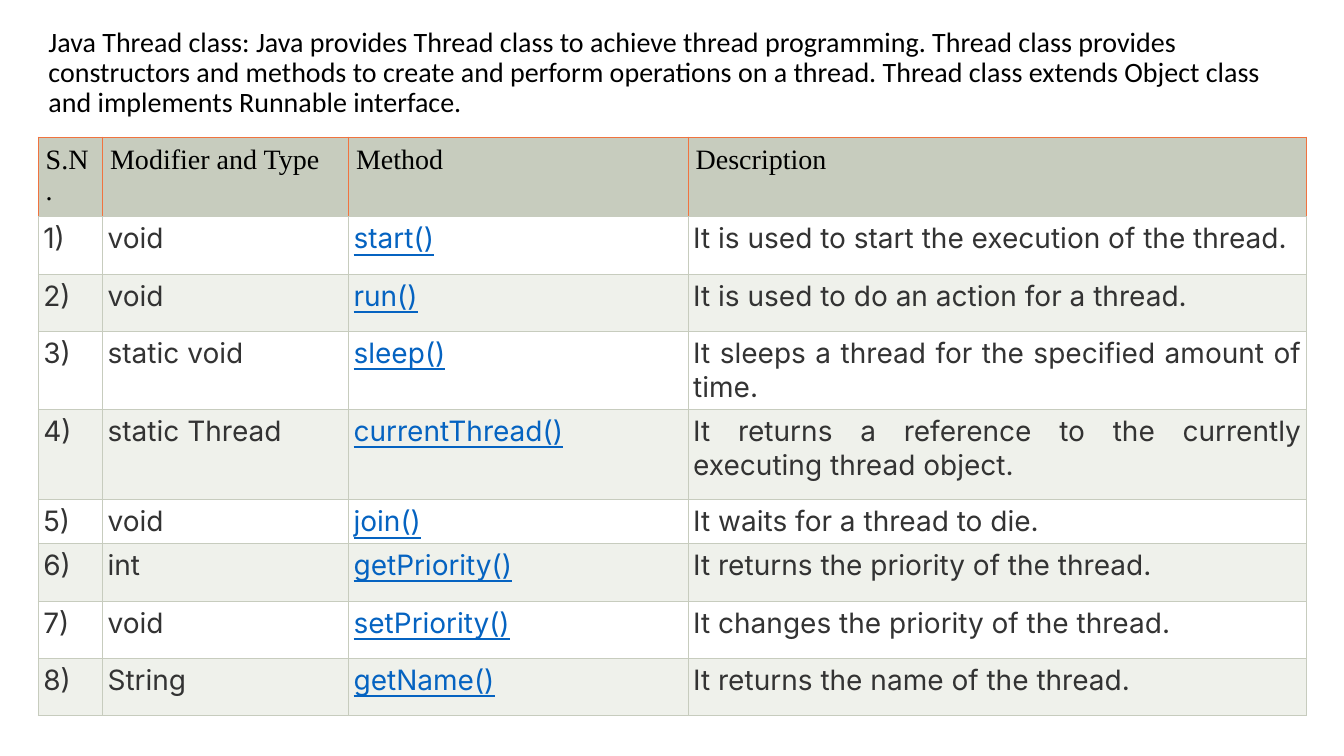
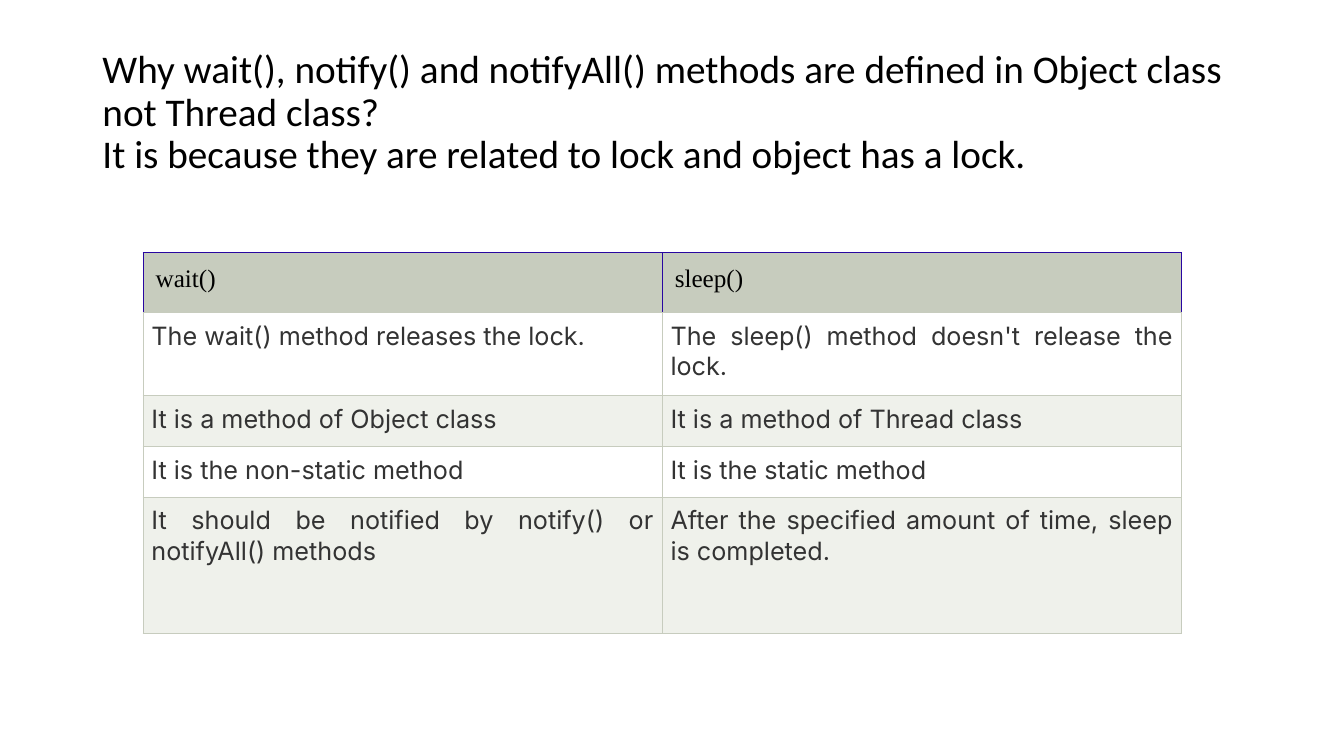
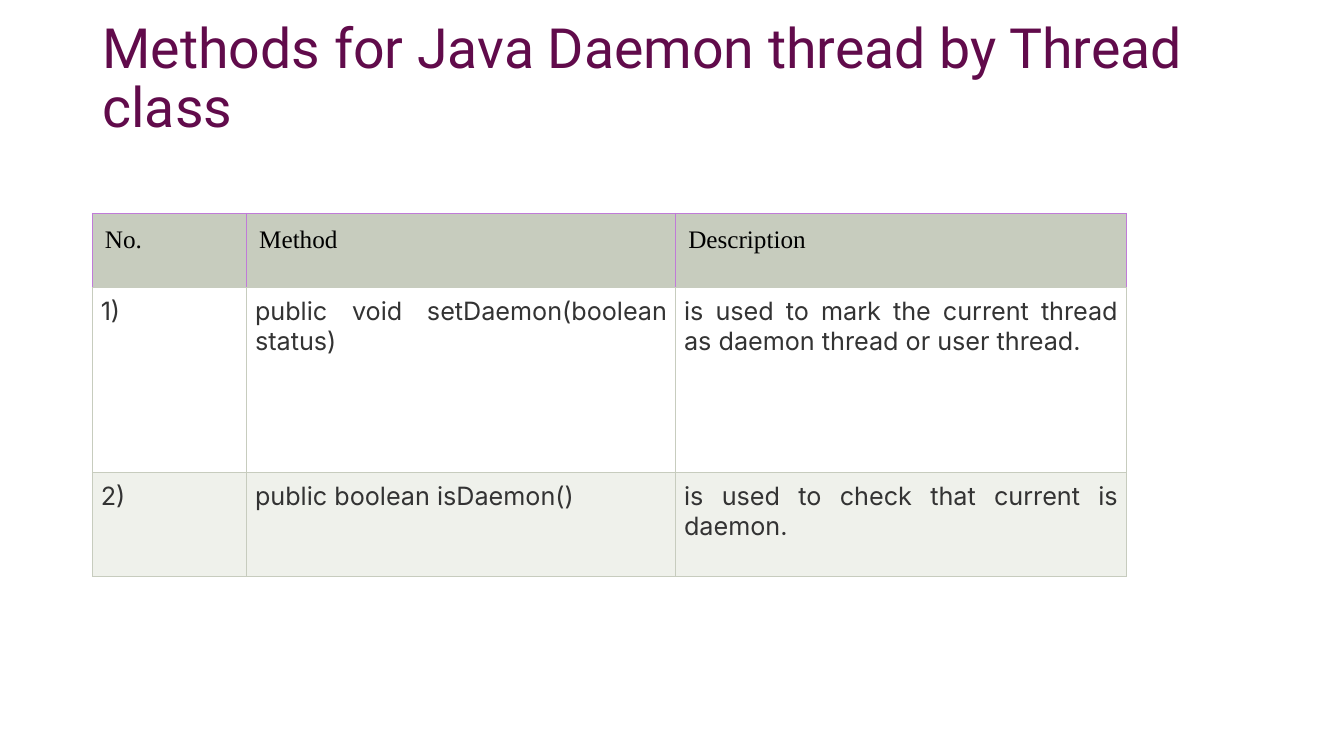
from dataclasses import dataclass

from lxml.etree import SubElement
from pptx import Presentation
from pptx.dml.color import RGBColor
from pptx.enum.text import MSO_ANCHOR as Anchor, MSO_AUTO_SIZE as AutoSize, PP_ALIGN as Align
from pptx.oxml.ns import qn
from pptx.util import Pt


@dataclass(frozen=True)
class Theme:
    """Colours, fonts and type sizes of the whole deck."""
    black: str = "000000"
    body: str = "333333"
    link: str = "0563C1"
    plum: str = "610B4B"
    grid: str = "C7CCBE"
    bands: tuple = ("FFFFFF", "EFF1EB")
    orange: str = "F0733F"
    indigo: str = "2806A1"
    violet: str = "C07BD8"
    title_font: str = "Calibri"
    display_font: str = "Roboto"
    header_font: str = "Times New Roman"
    body_font: str = "Inter"
    intro_size: float = 20
    question_size: float = 28
    heading_size: float = 39.6
    large_cell: float = 20
    small_cell: float = 18
    line_width: float = 0.75


THEME = Theme()
TITLE_BOX = (66, 28.75, 828, 104.4)

THREAD_METHODS = [
    ("S.N.", "Modifier and Type", "Method", "Description"),
    ("1)", "void", "start()", "It is used to start the execution of the thread."),
    ("2)", "void", "run()", "It is used to do an action for a thread."),
    ("3)", "static void", "sleep()", "It sleeps a thread for the specified amount of time."),
    ("4)", "static Thread", "currentThread()",
     "It returns a reference to the currently executing thread object."),
    ("5)", "void", "join()", "It waits for a thread to die."),
    ("6)", "int", "getPriority()", "It returns the priority of the thread."),
    ("7)", "void", "setPriority()", "It changes the priority of the thread."),
    ("8)", "String", "getName()", "It returns the name of the thread."),
]
WAIT_AND_SLEEP = [
    ("wait()", "sleep()"),
    ("The wait() method releases the lock.", "The sleep() method doesn't release the lock."),
    ("It is a method of Object class", "It is a method of Thread class"),
    ("It is the non-static method", "It is the static method"),
    ("It should be notified by notify() or notifyAll() methods",
     "After the specified amount of time, sleep is completed."),
]
DAEMON_METHODS = [
    ("No.", "Method", "Description"),
    ("1)", "public void setDaemon(boolean status)",
     "is used to mark the current thread as daemon thread or user thread."),
    ("2)", "public boolean isDaemon()", "is used to check that current is daemon."),
]


def add_run(paragraph, text, font, size, color, underline=False):
    run = paragraph.add_run()
    run.text = text
    run.font.name = font
    run.font.size = Pt(size)
    run.font.bold = False
    run.font.underline = underline
    run.font.color.rgb = RGBColor.from_string(color)


def add_titled_slide(deck, lines, size, box=TITLE_BOX,
                     font=THEME.title_font, color=THEME.black):
    """Add a title-only slide; the lines of its title are split by line breaks."""
    slide = deck.slides.add_slide(deck.slide_layouts[5])
    title = slide.shapes.title
    title.left, title.top, title.width, title.height = map(Pt, box)
    frame = title.text_frame
    frame.word_wrap = True
    frame.auto_size = AutoSize.NONE
    frame.vertical_anchor = Anchor.MIDDLE
    heading = frame.paragraphs[0]
    heading.alignment = Align.LEFT
    heading.line_spacing = 0.9
    for number, line in enumerate(lines):
        if number:
            heading.add_line_break()
        if line:
            add_run(heading, line, font, size, color)
    # Breaks take the height of the title text
    for line_break in heading._p.findall(qn("a:br")):
        SubElement(line_break, qn("a:rPr"), sz=str(round(size * 100)))
    return slide


def set_borders(cell, side_color, bottom_color):
    properties = cell._tc.get_or_add_tcPr()
    for side in ("L", "R", "T", "B"):
        line = SubElement(properties, qn(f"a:ln{side}"), w=str(Pt(THEME.line_width)))
        fill = SubElement(line, qn("a:solidFill"))
        SubElement(fill, qn("a:srgbClr"), val=bottom_color if side == "B" else side_color)


def format_cell(cell, fill, border, inset):
    set_borders(cell, border, THEME.grid)
    cell.fill.solid()
    cell.fill.fore_color.rgb = RGBColor.from_string(fill)
    cell.margin_left = cell.margin_right = cell.margin_top = cell.margin_bottom = Pt(inset)
    cell.vertical_anchor = Anchor.TOP


def add_method_table(slide, content, corner, widths, heights, accent, size, inset,
                     link_column=None):
    """Add a banded table whose header has borders in the accent colour."""
    frame = slide.shapes.add_table(len(heights), len(widths), *map(Pt, corner),
                                   Pt(sum(widths)), Pt(sum(heights)))
    table = frame.table
    table.first_row = table.horz_banding = False
    for column, width in zip(table.columns, widths):
        column.width = Pt(width)
    for row, height in zip(table.rows, heights):
        row.height = Pt(height)

    for row_number, texts in enumerate(content):
        for column_number, text in enumerate(texts):
            cell = table.cell(row_number, column_number)
            paragraph = cell.text_frame.paragraphs[0]
            if row_number == 0:
                format_cell(cell, THEME.grid, accent, inset * 1.5)
                paragraph.alignment = Align.LEFT
                add_run(paragraph, text, THEME.header_font, size, THEME.black)
            else:
                format_cell(cell, THEME.bands[(row_number - 1) % 2], THEME.grid, inset)
                paragraph.alignment = Align.JUSTIFY
                linked = column_number == link_column
                add_run(paragraph, text, THEME.body_font, size,
                        THEME.link if linked else THEME.body, linked)


def main():
    deck = Presentation()
    deck.slide_width, deck.slide_height = Pt(960), Pt(540)

    # Thread class methods
    thread_class = add_titled_slide(
        deck,
        ["Java Thread class: Java provides Thread class to achieve thread programming. "
         "Thread class provides constructors and methods to create and perform operations "
         "on a thread. Thread class extends Object class and implements Runnable interface."],
        THEME.intro_size, box=(27.4, 7.2, 891.4, 90.7))
    add_method_table(thread_class, THREAD_METHODS, (27.4, 97.9),
                     [46, 175.7, 242.6, 441.4],
                     [56.9, 41, 41, 53.3, 64.8, 30.2, 41, 41, 41],
                     THEME.orange, THEME.large_cell, 3.5, link_column=2)

    # wait() against sleep()
    wait_or_sleep = add_titled_slide(
        deck,
        ["Why wait(), notify() and notifyAll() methods are defined in Object class "
         "not Thread class?",
         "It is because they are related to lock and object has a lock."],
        THEME.question_size)
    add_method_table(wait_or_sleep, WAIT_AND_SLEEP, (102.2, 180.4), [370.8] * 2,
                     [42.7, 59.5, 36.2, 36.2, 97.5],
                     THEME.indigo, THEME.small_cell, 6)

    # Daemon thread methods
    daemon = add_titled_slide(
        deck, ["Methods for Java Daemon thread by Thread class", ""],
        THEME.heading_size, font=THEME.display_font, color=THEME.plum)
    add_method_table(daemon, DAEMON_METHODS, (66, 152.4), [110.2, 306.5, 322],
                     [53.2, 132, 74.2], THEME.violet, THEME.small_cell, 6)

    deck.save("out.pptx")


main()
